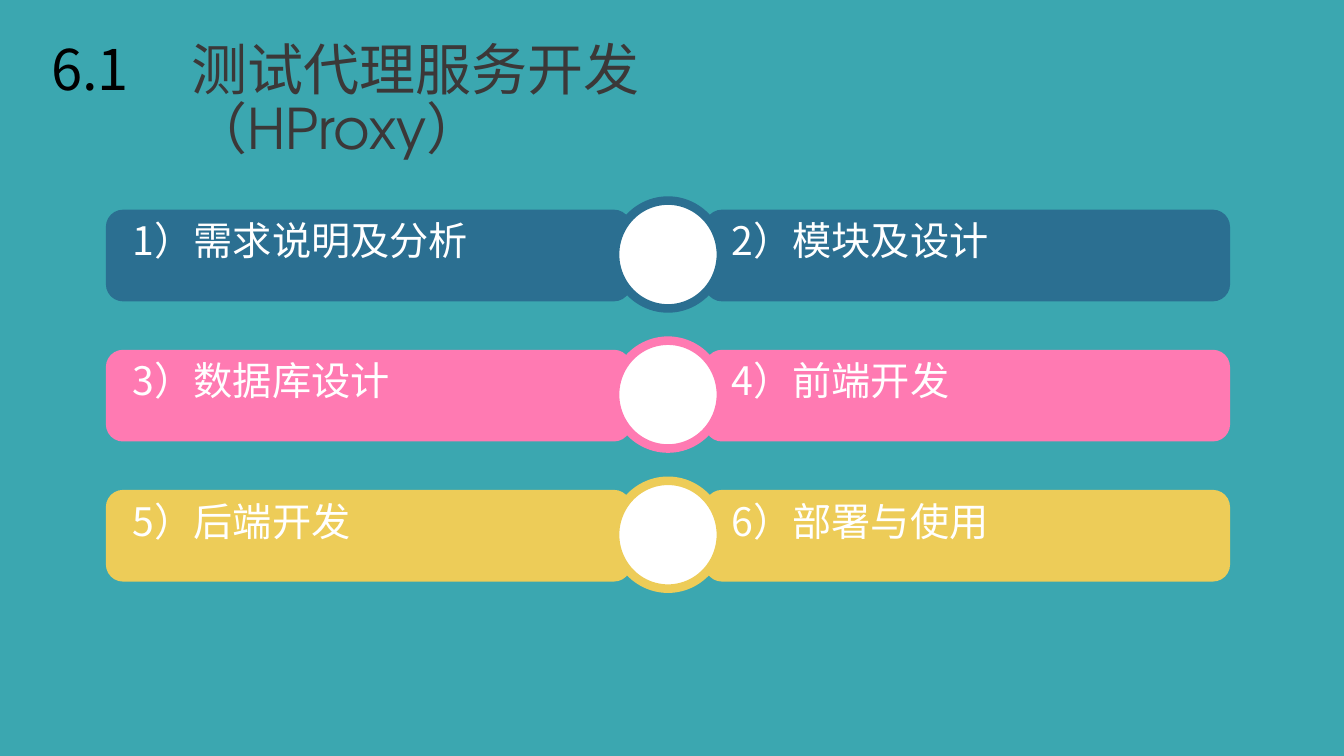
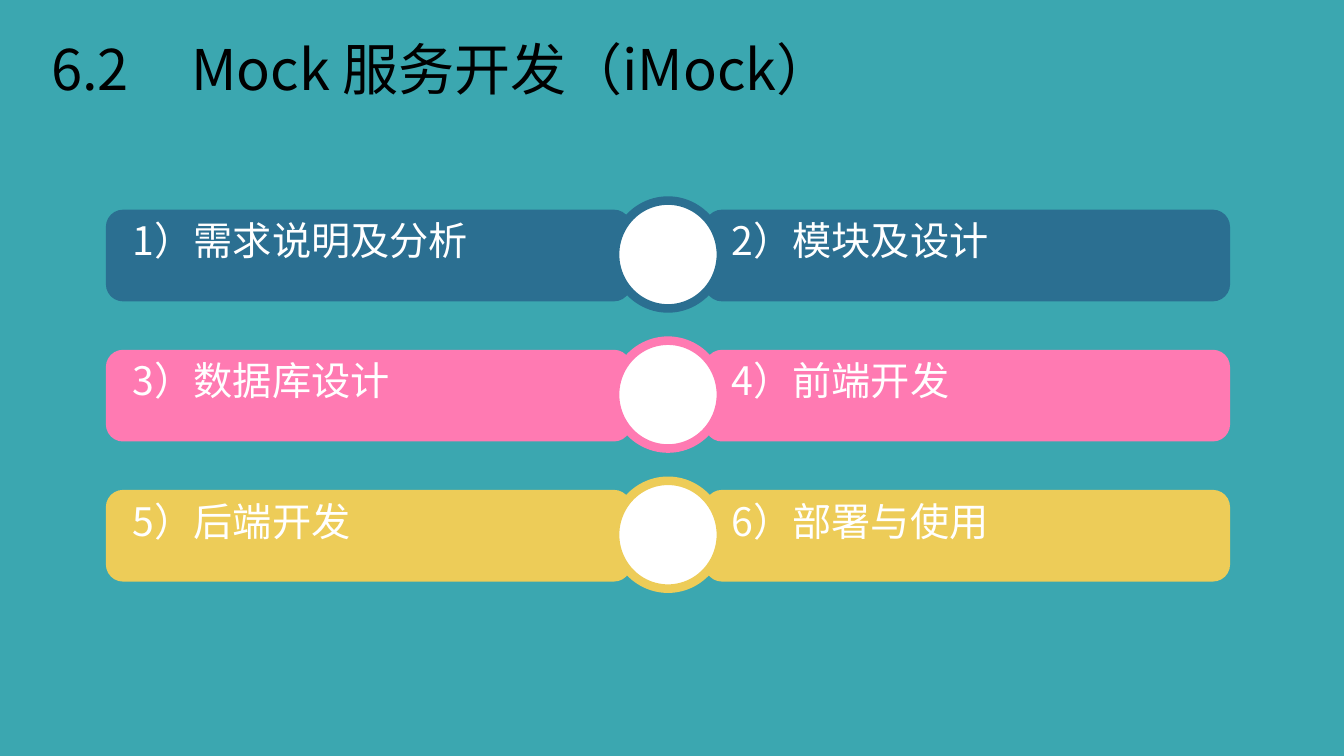
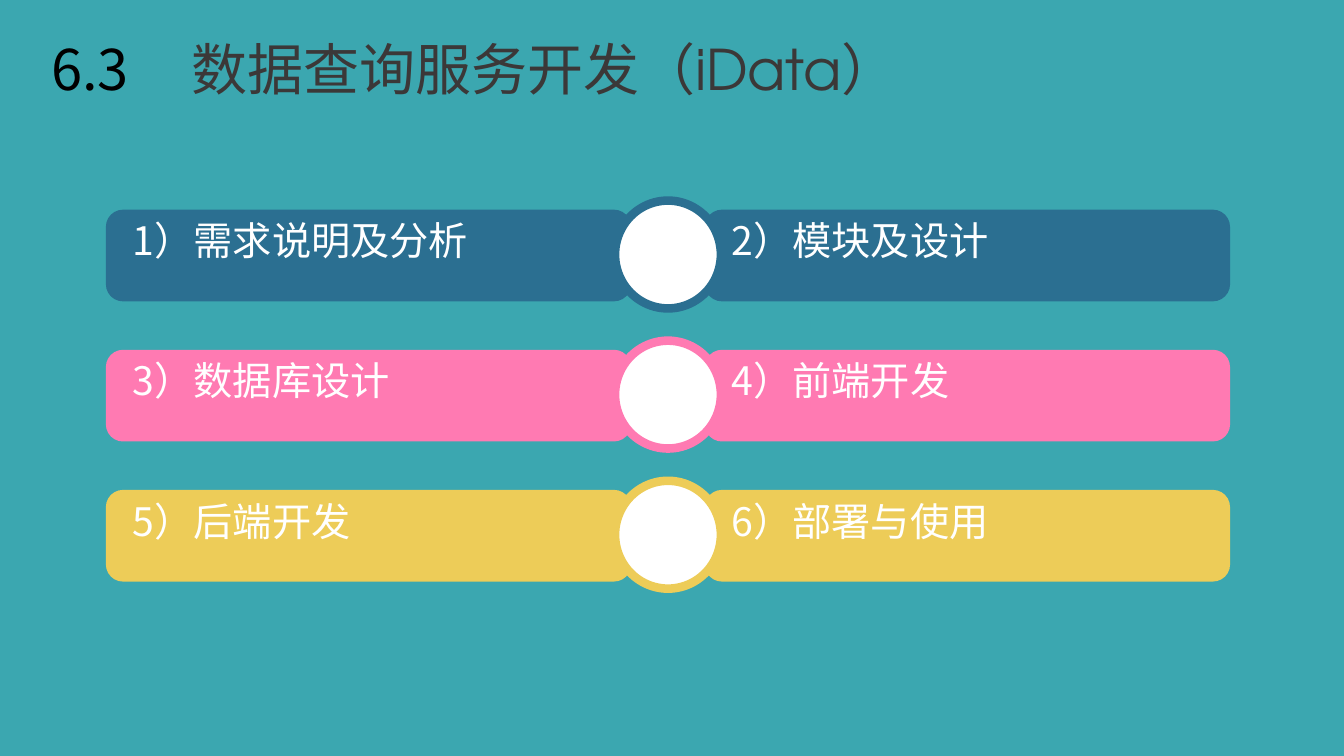
"""Build three section slides that share a title line and a grid of six topics."""
from dataclasses import dataclass

from lxml.etree import SubElement
from pptx import Presentation
from pptx.dml.color import RGBColor
from pptx.enum.shapes import MSO_SHAPE
from pptx.enum.text import MSO_ANCHOR, MSO_AUTO_SIZE
from pptx.oxml.ns import qn
from pptx.util import Inches, Pt


@dataclass(frozen=True)
class Theme:
    """Colours, fonts and type sizes of the deck."""
    background: str = "3BA7B0"
    white: str = "FFFFFF"
    black: str = "000000"
    charcoal: str = "3B3838"
    blue: str = "2B6F91"
    pink: str = "FF7AB2"
    yellow: str = "EDCC58"
    sans: str = "Noto Sans CJK SC"
    display: str = "TeX Gyre Adventor"
    title_size: int = 40
    item_size: int = 28
    line_spacing: float = 0.88
    ring_width: float = 6.13


T = Theme()

SECTIONS = [
    ("6.1", "测试代理服务开发（HProxy）", T.display, T.charcoal),
    ("6.2", "Mock 服务开发（iMock）", T.sans, T.black),
    ("6.3", "数据查询服务开发（iData）", T.display, T.charcoal),
]
TOPIC_ROWS = [
    (T.blue, ("1）需求说明及分析", "2）模块及设计")),
    (T.pink, ("3）数据库设计", "4）前端开发")),
    (T.yellow, ("5）后端开发", "6）部署与使用")),
]

NUMBER_BOX = (0.41, 0.38, 1.66, 0.77)
TITLE_BOX = (1.8, 0.38, 7.28, 0.77)
GRID_LEFT, GRID_TOP = 1.05, 2.08
COLUMN_STEP, ROW_STEP = 5.94, 1.39
BAR_SIZE = (5.21, 0.91)
BAR_ROUNDING = 0.187
LABEL_OFFSET = (0.17, 0.08)
LABEL_SIZE = (4.83, 0.57)
RING_LEFT, RING_RISE = 6.1, 0.09
RING_SIZE = (1.05, 1.07)


def inches(box):
    return [Inches(value) for value in box]


def add_text(s, box, text, size, color, font=T.sans):
    tf = s.shapes.add_textbox(*inches(box)).text_frame
    frame_format = {
        "word_wrap": True,
        "auto_size": MSO_AUTO_SIZE.SHAPE_TO_FIT_TEXT,
        "vertical_anchor": MSO_ANCHOR.TOP,
    }
    for name, value in frame_format.items():
        setattr(tf, name, value)
    p = tf.paragraphs[0]
    p.line_spacing = T.line_spacing
    r = p.add_run()
    r.text = text
    for name, value in {"size": Pt(size), "name": font}.items():
        setattr(r.font, name, value)
    r.font.color.rgb = RGBColor.from_string(color)
    SubElement(r.font._element, qn("a:ea"), typeface=T.sans)


def add_filled(s, kind, box, fill, line=None):
    sp = s.shapes.add_shape(kind, *inches(box))
    sp.shadow.inherit = False
    sp.fill.solid()
    sp.fill.fore_color.rgb = RGBColor.from_string(fill)
    if line:
        sp.line.color.rgb = RGBColor.from_string(line)
        sp.line.width = Pt(T.ring_width)
    else:
        sp.line.fill.background()
    return sp


def add_topic_row(s, top, color, topics):
    for column, topic in enumerate(topics):
        left = GRID_LEFT + column * COLUMN_STEP
        bar = add_filled(s, MSO_SHAPE.ROUNDED_RECTANGLE, (left, top, *BAR_SIZE), color)
        bar.adjustments[0] = BAR_ROUNDING
        dx, dy = LABEL_OFFSET
        add_text(s, (left + dx, top + dy, *LABEL_SIZE), topic, T.item_size, T.white)
    ring_box = (RING_LEFT, top - RING_RISE, *RING_SIZE)
    add_filled(s, MSO_SHAPE.OVAL, ring_box, T.white, color)


def add_section(prs, number, title, font, color):
    s = prs.slides.add_slide(prs.slide_layouts[6])
    for row, (row_color, topics) in enumerate(TOPIC_ROWS):
        add_topic_row(s, GRID_TOP + row * ROW_STEP, row_color, topics)
    add_text(s, NUMBER_BOX, number, T.title_size, T.black)
    add_text(s, TITLE_BOX, title, T.title_size, color, font)


def main():
    prs = Presentation()
    prs.slide_width, prs.slide_height = Inches(13.33), Inches(7.5)
    fill = prs.slide_master.background.fill
    fill.solid()
    fill.fore_color.rgb = RGBColor.from_string(T.background)
    for section in SECTIONS:
        add_section(prs, *section)
    prs.save("out.pptx")


if __name__ == "__main__":
    main()
